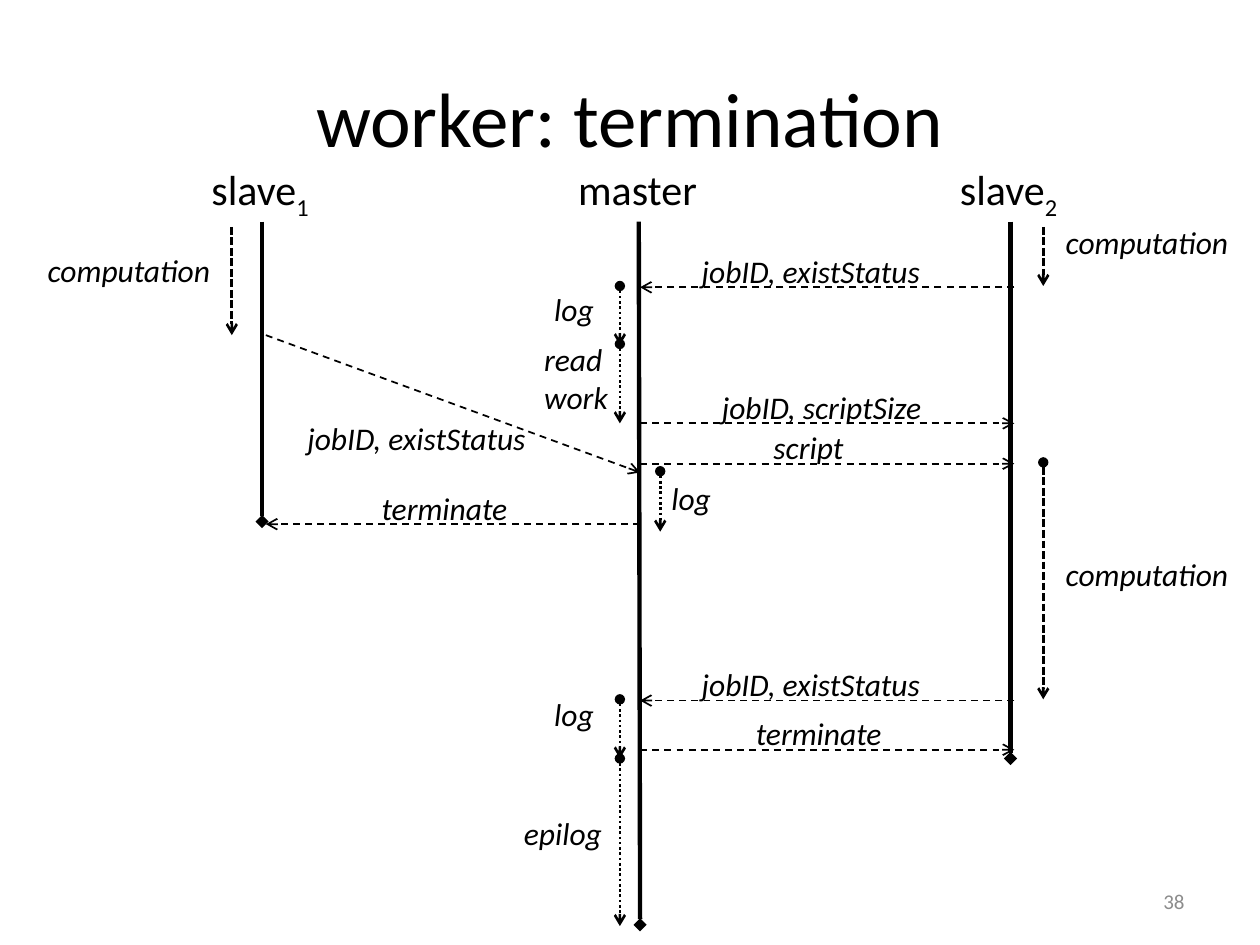
import lxml.etree
import pptx
import pptx.dml.color
import pptx.enum.dml
import pptx.enum.shapes
import pptx.enum.text
import pptx.oxml.ns
import pptx.util

EMU_PER_PX = 9144  # 100 px to the inch
COLORS = {"ink": "000000", "page_number": "8C8C8C"}
FONT = "Calibri"
DASH = pptx.enum.dml.MSO_LINE.DASH
WORKING = pptx.enum.dml.MSO_LINE.SQUARE_DOT
MANAGING = pptx.enum.dml.MSO_LINE.ROUND_DOT
ALIGN = pptx.enum.text.PP_ALIGN
MIDDLE = pptx.enum.text.MSO_ANCHOR.MIDDLE

SLAVE_1, MASTER, SLAVE_2 = 208, 508, 802
MESSAGE_ENDS = {"slave1": 211, "master": 508, "slave2": 805}
LABEL_WIDTHS = {
    "computation": 152, "log": 52, "epilog": 83, "read\nwork": 72,
    "jobID, existStatus": 195, "jobID, scriptSize": 182,
    "script": 76, "terminate": 121,
}

# sender, receiver, y, text, label left
MESSAGES = [
    ("slave2", "master", 228, "jobID, existStatus", 547),
    ("master", "slave2", 336, "jobID, scriptSize", 563),
    ("master", "slave2", 368, "script", 604),
    ("master", "slave1", 416, "terminate", 293),
    ("slave2", "master", 556, "jobID, existStatus", 547),
    ("master", "slave2", 595, "terminate", 590),
]

# x, top, bottom, dash, starts with a dot, text, label left, label top
ACTIVITIES = [
    (184, 180, 266, WORKING, False, "computation", 28, 194),
    (828, 180, 227, WORKING, False, "computation", 836, 172),
    (828, 367, 555, WORKING, True, "computation", 836, 436),
    (492, 227, 274, MANAGING, True, "log", 430, 225),
    (492, 273, 336, MANAGING, True, "read\nwork", 422, 265),
    (524, 374, 422, MANAGING, True, "log", 523, 375),
    (492, 555, 602, MANAGING, True, "log", 430, 547),
    (492, 602, 735, MANAGING, True, "epilog", 406, 641),
]


def px(length):
    return pptx.util.Emu(length * EMU_PER_PX)


def color(name):
    return pptx.dml.color.RGBColor.from_string(COLORS[name])


def add_span(para, text, size, ink="ink", italic=False, baseline=None):
    span = para.add_run()
    span.text = text
    font = span.font
    font.name, font.size, font.italic = FONT, pptx.util.Pt(size), italic
    font.color.rgb = color(ink)
    if baseline:
        font._element.set("baseline", str(baseline))


def add_box(page, left, top, width, height):
    box = page.shapes.add_textbox(px(left), px(top), px(width), px(height))
    box.text_frame.word_wrap = False
    return box.text_frame


def add_line(page, start, end, width, dash=None, head=None, tail=None):
    """Draw from start to end; head marks the start and tail the end."""
    line = page.shapes.add_connector(
        pptx.enum.shapes.MSO_CONNECTOR.STRAIGHT,
        *[px(value) for value in (*start, *end)])
    line.line.color.rgb = color("ink")
    line.line.width = pptx.util.Pt(width)
    if dash is not None:
        line.line.dash_style = dash
    qn = pptx.oxml.ns.qn
    outline = line.line._get_or_add_ln()
    for tag, kind in (("a:headEnd", head), ("a:tailEnd", tail)):
        if kind:
            lxml.etree.SubElement(outline, qn(tag), type=kind)
    lxml.etree.SubElement(line._element.spPr, qn("a:effectLst"))


def add_label(page, text, left, top):
    rows = text.split("\n")
    height = 40 + 31 * (len(rows) - 1)
    frame = add_box(page, left, top, LABEL_WIDTHS[text], height)
    for index, row in enumerate(rows):
        para = frame.add_paragraph() if index else frame.paragraphs[0]
        add_span(para, row, 18, italic=True)


def add_lifeline(page, x, bottom, name, number, left, width, end_x):
    add_line(page, (x, 176), (end_x, bottom), 2.5, tail="diamond")
    para = add_box(page, left, 125, width, 51).paragraphs[0]
    add_span(para, name, 24)
    if number:
        add_span(para, number, 24, baseline=-25000)


def add_message(page, sender, receiver, y, text, label_left):
    add_line(page, (MESSAGE_ENDS[sender], y), (MESSAGE_ENDS[receiver], y),
             1, DASH, tail="arrow")
    add_label(page, text, label_left, y - 33)


def add_activity(page, x, top, bottom, dash, dotted, text, left, label_top):
    add_line(page, (x, top), (x, bottom), 1.5, dash,
             head="oval" if dotted else None, tail="arrow")
    add_label(page, text, left, label_top)


def set_title(page, text):
    title = page.shapes.title
    title.left, title.top, title.width, title.height = map(
        px, (50, 30, 900, 125))
    title.text_frame.vertical_anchor = MIDDLE
    para = title.text_frame.paragraphs[0]
    para.alignment = ALIGN.CENTER
    add_span(para, text, 44)


def add_page_number(page, number):
    frame = add_box(page, 717, 695, 233, 40)
    frame.word_wrap = True
    frame.vertical_anchor = MIDDLE
    frame.paragraphs[0].alignment = ALIGN.RIGHT
    add_span(frame.paragraphs[0], number, 12, ink="page_number")


def main():
    deck = pptx.Presentation()
    deck.slide_width, deck.slide_height = px(1000), px(750)
    page = deck.slides.add_slide(deck.slide_layouts.get_by_name("Title Only"))
    set_title(page, "worker: termination")

    add_lifeline(page, SLAVE_1, 414, "slave", "1", 158, 100, SLAVE_1)
    add_lifeline(page, MASTER - 1, 734, "master", None, 449, 115, MASTER)
    add_lifeline(page, SLAVE_2, 602, "slave", "2", 752, 100, SLAVE_2)

    for message in MESSAGES:
        add_message(page, *message)
    add_line(page, (MESSAGE_ENDS["slave1"], 266),
             (MESSAGE_ENDS["master"], 375), 1, DASH, tail="arrow")
    add_label(page, "jobID, existStatus", 234, 328)

    for activity in ACTIVITIES:
        add_activity(page, *activity)
    add_page_number(page, "38")
    deck.save("out.pptx")


if __name__ == "__main__":
    main()
